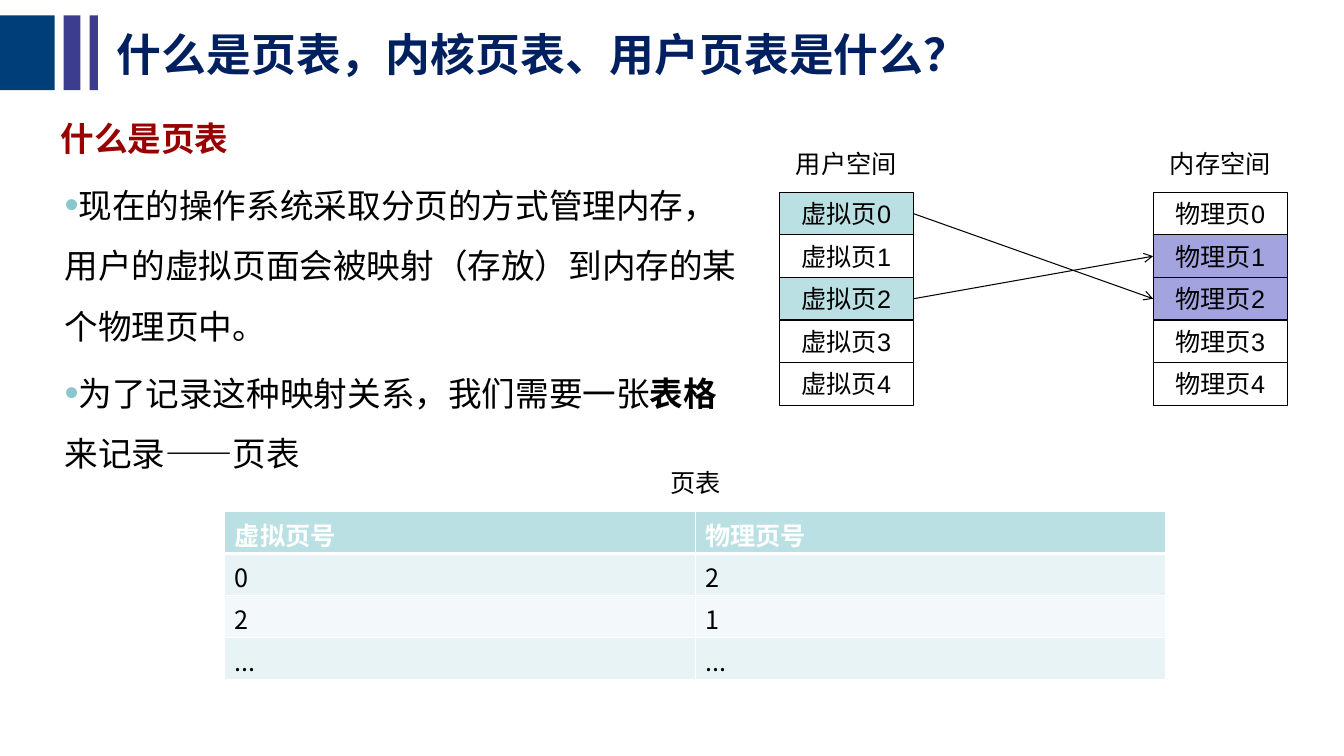
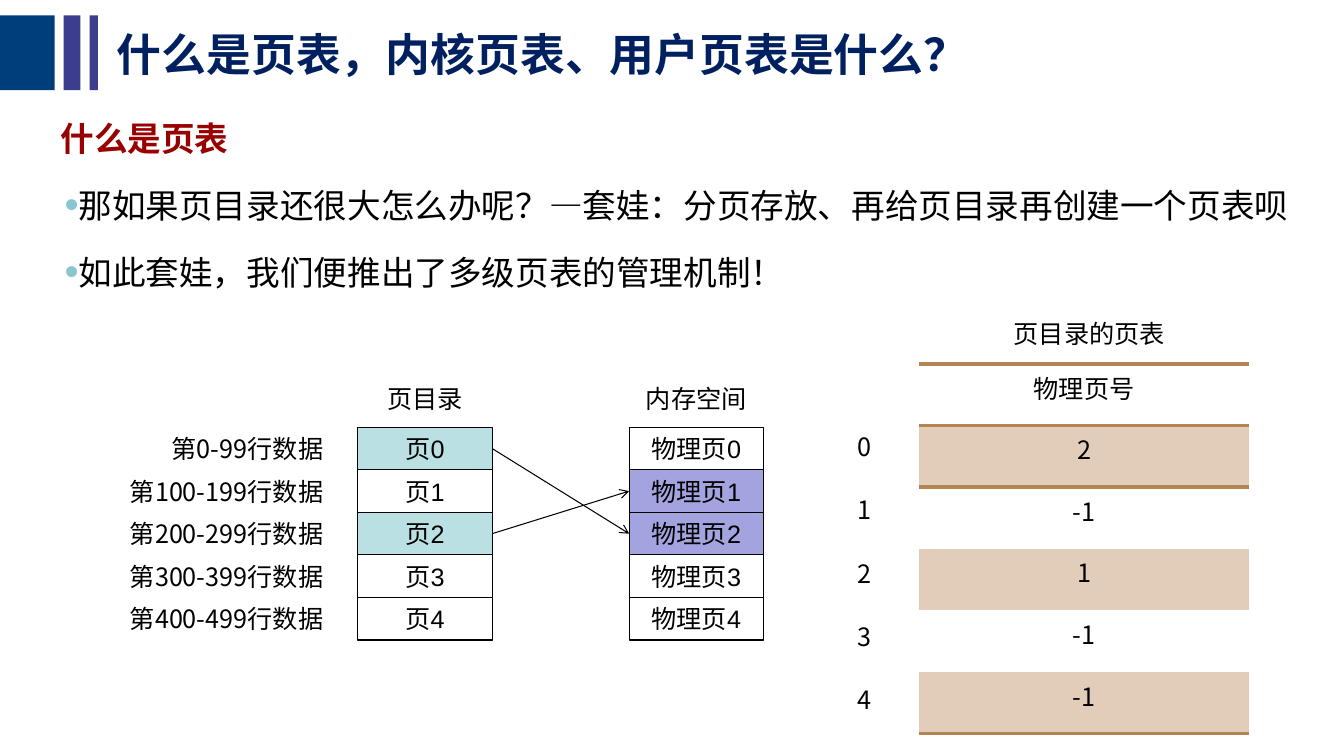
from lxml import etree
from pptx import Presentation
from pptx.dml.color import RGBColor
from pptx.enum.shapes import MSO_CONNECTOR, MSO_SHAPE
from pptx.enum.text import MSO_ANCHOR, MSO_AUTO_SIZE, PP_ALIGN
from pptx.oxml.ns import qn
from pptx.util import Pt

RECT, STRAIGHT = MSO_SHAPE.RECTANGLE, MSO_CONNECTOR.STRAIGHT
TOP, MIDDLE = MSO_ANCHOR.TOP, MSO_ANCHOR.MIDDLE
LEFT, CENTER, RIGHT = PP_ALIGN.LEFT, PP_ALIGN.CENTER, PP_ALIGN.RIGHT
NO_FIT = MSO_AUTO_SIZE.NONE
CJK, LATIN = "Noto Sans CJK SC", "Arial"
PLAIN_TABLE = "{2D5ABB26-0587-4C30-8999-92F81FD0307C}"

COLORS = {
    "navy": "003E7A", "indigo": "3C3D8E", "title": "002060",
    "heading": "990000", "bullet": "8AC6CD", "text": "000000",
    "white": "FFFFFF", "teal": "BBE0E3", "teal_band": "E7F3F4",
    "teal_pale": "F3F9FA", "violet": "A3A3E0", "brown": "B58453",
    "tan": "E1CDB9",
}
TITLE = "什么是页表，内核页表、用户页表是什么？"
HEADING = "什么是页表"
PAGE_COUNT = 5
PAGE_MAP = {0: 2, 2: 1}  # virtual page -> physical page
PAGE_W, PAGE_H = 96, 30.4
LABEL_H = 28.8


def rgb(name):
    return RGBColor.from_string(COLORS[name])


def sub(parent, tag, **attrs):
    return etree.SubElement(parent, qn(tag), attrs)


def write(p, text, size=18, color="text", bold=False, font=CJK, align=LEFT):
    p.alignment = align
    r = p.add_run()
    r.text = text
    r.font.size, r.font.bold, r.font.name = Pt(size), bold, font
    r.font.color.rgb = rgb(color)
    sub(r.font._element, "a:ea", typeface=CJK)


def place(shape, x, y, w, h):
    shape.left, shape.top, shape.width, shape.height = map(Pt, (x, y, w, h))


def setup_frame(shape, anchor):
    tf = shape.text_frame
    tf.word_wrap, tf.auto_size, tf.vertical_anchor = True, NO_FIT, anchor
    return tf


def add_rect(s, x, y, w, h, fill, line=None):
    shape = s.shapes.add_shape(RECT, Pt(x), Pt(y), Pt(w), Pt(h))
    shape.shadow.inherit = False
    shape.fill.solid()
    shape.fill.fore_color.rgb = rgb(fill)
    if line:
        shape.line.color.rgb = rgb(line)
        shape.line.width = Pt(0.75)
    else:
        shape.line.fill.background()
    return shape


def add_label(s, x, y, w, text, align=CENTER, h=LABEL_H):
    box = s.shapes.add_textbox(Pt(x), Pt(y), Pt(w), Pt(h))
    write(setup_frame(box, MIDDLE).paragraphs[0], text, align=align)


def add_arrow(s, source, target):
    c = s.shapes.add_connector(STRAIGHT, 0, 0, 0, 0)
    c.begin_connect(source, 3)  # right side
    c.end_connect(target, 1)  # left side
    c.line.color.rgb = rgb("text")
    c.line.width = Pt(0.75)
    sub(c.line._get_or_add_ln(), "a:tailEnd", type="arrow")
    sub(c.element.spPr, "a:effectLst")


def style_paragraph(p, bullet):
    p.line_spacing, p.space_before = 1.5, Pt(4.8)
    pPr = p._p.get_or_add_pPr()
    pPr.set("marL", "0")
    pPr.set("indent", "0")
    if bullet:
        sub(sub(pPr, "a:buClr"), "a:srgbClr", val=COLORS["bullet"])
        sub(pPr, "a:buSzPct", val="120000")
        sub(pPr, "a:buFont", typeface=LATIN)
        sub(pPr, "a:buChar", char="•")
    else:
        sub(pPr, "a:buNone")


def add_pages(s, x, y, head, prefix, marked, fill):
    """Draw a captioned column of memory pages and return its boxes."""
    add_label(s, x, y - 35, PAGE_W, head)
    pages = []
    for i in range(PAGE_COUNT):
        page = add_rect(s, x, y + i * PAGE_H, PAGE_W, PAGE_H,
                        fill if i in marked else "white", "text")
        write(setup_frame(page, MIDDLE).paragraphs[0], f"{prefix}{i}",
              font=LATIN, align=CENTER)
        pages.append(page)
    return pages


def add_mapping(s, left, right, y, head, prefix):
    sources = add_pages(s, left, y, head, prefix, PAGE_MAP, "teal")
    targets = add_pages(s, right, y, "内存空间", "物理页",
                        PAGE_MAP.values(), "violet")
    for source, target in PAGE_MAP.items():
        add_arrow(s, sources[source], targets[target])


def add_border(cell, side, width, color):
    if width:
        ln = sub(cell._tc.get_or_add_tcPr(), f"a:ln{side}",
                 w=str(int(Pt(width))))
        sub(sub(ln, "a:solidFill"), "a:srgbClr", val=COLORS[color])


def add_grid(s, x, y, w, row_h, rows, fills, rules, rule_color,
             side_rule=0, align=LEFT, head={}):
    """Draw a table; rules holds the width of each horizontal line."""
    frame = s.shapes.add_table(len(rows), len(rows[0]), Pt(x), Pt(y),
                               Pt(w), Pt(row_h * len(rows)))
    frame.element.xpath(".//a:tableStyleId")[0].text = PLAIN_TABLE
    frame.table.horz_banding = False
    for r, row in enumerate(rows):
        frame.table.rows[r].height = Pt(row_h)
        for c, text in enumerate(row):
            cell = frame.table.cell(r, c)
            widths = (side_rule, side_rule, rules[r], rules[r + 1])
            for side, width in zip("LRTB", widths):
                add_border(cell, side, width, rule_color)
            cell.fill.solid()
            cell.fill.fore_color.rgb = rgb(fills[r])
            cell.margin_bottom = 0
            write(cell.text_frame.paragraphs[0], text, align=align,
                  **(head if r == 0 else {}))


def setup_layout(prs, s):
    """Put the bands and the shared places on the layout of slide s."""
    layout = s.slide_layout
    for x, w, fill in ((0, 39, "navy"), (45.4, 12, "indigo"),
                       (64, 6, "indigo")):
        band = add_rect(s, x, 11, w, 53.5, fill)
        layout.shapes.element.append(band.element)
    places = {0: (76.3, 11.5, 661, 54), 1: (36, 66.2, 880, 48),
              2: (38.9, 113.8, 904, 250)}
    for ph in layout.placeholders:
        if ph.placeholder_format.idx in places:
            place(ph, *places[ph.placeholder_format.idx])


def add_slide(prs, bullets, list_w=None):
    """Add a slide with title, heading and list; bold runs are in tuples."""
    s = prs.slides.add_slide(prs.slide_layouts[3])
    if len(prs.slides) == 1:
        setup_layout(prs, s)
    title, heading, body = s.placeholders
    write(setup_frame(title, MIDDLE).paragraphs[0], TITLE, size=32,
          color="title", bold=True)
    p = setup_frame(heading, TOP).paragraphs[0]
    style_paragraph(p, bullet=False)
    write(p, HEADING, size=24, color="heading", bold=True)
    if list_w:
        place(body, body.left.pt, body.top.pt, list_w, body.height.pt)
    tf = setup_frame(body, TOP)
    for i, runs in enumerate(bullets):
        p = tf.add_paragraph() if i else tf.paragraphs[0]
        style_paragraph(p, bullet=True)
        for text, bold in runs:
            write(p, text, size=24, bold=bold)
    return s


def page_table_slide(prs):
    s = add_slide(prs, [
        [("现在的操作系统采取分页的方式管理内存，用户的虚拟页面会被映射（存放）"
          "到内存的某个物理页中。", False)],
        [("为了记录这种映射关系，我们需要一张", False), ("表格", True),
         ("来记录——页表", False)],
    ], list_w=502.5)
    add_mapping(s, 556.5, 823.7, 137.4, "用户空间", "虚拟页")
    add_label(s, 434, 330, 126, "页表")
    rows = [("虚拟页号", "物理页号")]
    rows += [(str(v), str(p)) for v, p in PAGE_MAP.items()] + [("...", "...")]
    add_grid(s, 160.6, 365.4, 672, 30, rows,
             ["teal", "teal_band", "teal_pale", "teal_band"],
             [1, 3, 1, 1, 1], "white", side_rule=1,
             head={"color": "white", "bold": True})


def page_directory_slide(prs):
    s = add_slide(prs, [
        [("那如果页目录还很大怎么办呢？—套娃：分页存放、再给页目录再创建一个页表呗",
          False)],
        [("如此套娃，我们便推出了多级页表的管理机制！", False)],
    ])
    top = 305.2
    add_mapping(s, 255.6, 449.4, top, "页目录", "页")
    for i in range(PAGE_COUNT):
        add_label(s, 31, top + i * PAGE_H, 207, f"第{i * 100}-{i * 100 + 99}行数据",
                  align=RIGHT, h=PAGE_H)
        add_label(s, 587.5, 304.6 + i * 45.2, 60, str(i))
    # Page table of the directory
    add_label(s, 715, 224, 126, "页目录的页表")
    rows = [("物理页号",)]
    rows += [(str(PAGE_MAP.get(i, -1)),) for i in range(PAGE_COUNT)]
    add_grid(s, 656.6, 259.9, 235.5, 44, rows, ["white", "tan"] * 3,
             [3, 3, 0, 0, 0, 0, 3], "brown", align=CENTER)


def main():
    prs = Presentation()
    prs.slide_width, prs.slide_height = Pt(960), Pt(540)
    page_table_slide(prs)
    page_directory_slide(prs)
    prs.save("out.pptx")


if __name__ == "__main__":
    main()
